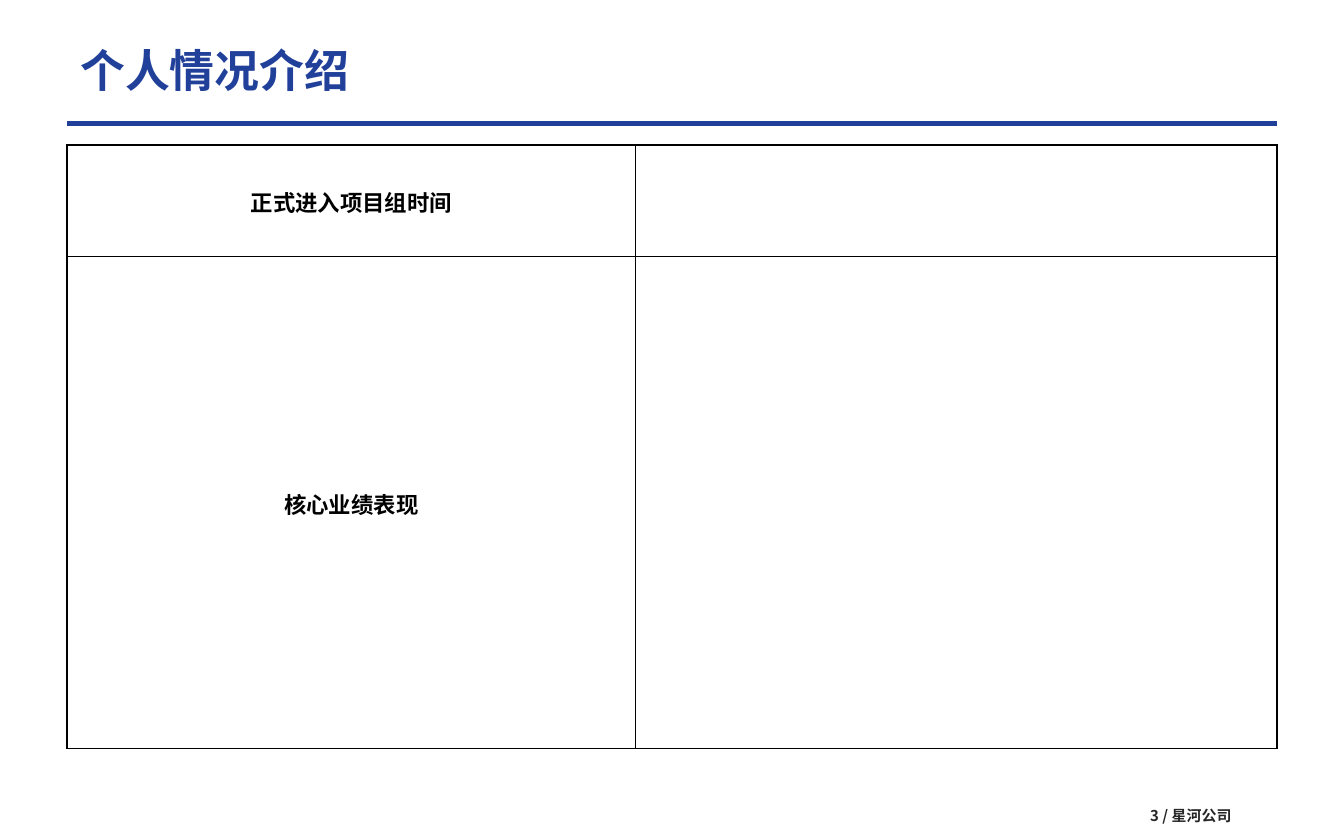
from lxml.etree import SubElement
from pptx import Presentation
from pptx.dml.color import RGBColor
from pptx.enum.shapes import MSO_CONNECTOR
from pptx.enum.text import MSO_ANCHOR, PP_ALIGN
from pptx.oxml import parse_xml
from pptx.oxml.ns import nsdecls, qn
from pptx.util import Pt

PX = 9144  # EMU per px, 100 px to the inch
BLUE, BLACK, GREY = "20409A", "000000", "262626"
CJK_FONT = "Noto Sans CJK SC"
LEFT, WIDTH = 50, 900
COLUMNS, ROWS = (423, 477), (83, 366)
LABELS = ("正式进入项目组时间", "核心业绩表现")


def px(*lengths):
    return [length * PX for length in lengths]


def color(hex_code):
    return RGBColor.from_string(hex_code)


def write(frame, text, size, fill, font=CJK_FONT, align=PP_ALIGN.LEFT):
    para = frame.paragraphs[0]
    para.alignment = align
    span = para.add_run()
    span.text = text
    span.font.size = Pt(size)
    span.font.bold = True
    span.font.name = font
    span.font.color.rgb = color(fill)
    SubElement(span.font._element, qn("a:ea"), typeface=CJK_FONT)


def add_text(page, place, text, **style):
    frame = page.shapes.add_textbox(*px(*place)).text_frame
    frame.word_wrap = True
    frame.vertical_anchor = MSO_ANCHOR.MIDDLE
    write(frame, text, **style)


def add_rule(page, y):
    line = page.shapes.add_connector(
        MSO_CONNECTOR.STRAIGHT, *px(LEFT, y, LEFT + WIDTH, y))
    line.line.color.rgb = color(BLUE)
    line.line.width = Pt(3)
    SubElement(line._element.spPr, qn("a:effectLst"))


def add_borders(cell):
    properties = cell._tc.get_or_add_tcPr()
    for index, side in enumerate(("lnL", "lnR", "lnT", "lnB")):
        properties.insert(index, parse_xml(
            f'<a:{side} {nsdecls("a")} w="{Pt(1)}"><a:solidFill>'
            f'<a:srgbClr val="{BLACK}"/></a:solidFill></a:{side}>'))


def add_profile_table(page, top):
    table = page.shapes.add_table(
        len(ROWS), len(COLUMNS), *px(LEFT, top, WIDTH, sum(ROWS))).table
    table.first_row = table.horz_banding = False
    for column, width in zip(table.columns, COLUMNS):
        column.width = width * PX
    for row, height in zip(table.rows, ROWS):
        row.height = height * PX
    for cell in table.iter_cells():
        cell.fill.background()
        add_borders(cell)
    for row, label in enumerate(LABELS):
        cell = table.cell(row, 0)
        cell.vertical_anchor = MSO_ANCHOR.MIDDLE
        cell.margin_left = cell.margin_right = cell.margin_top = PX
        cell.margin_bottom = 0
        write(cell.text_frame, label, 12, BLACK, align=PP_ALIGN.CENTER)


def main():
    deck = Presentation()
    deck.slide_width, deck.slide_height = px(1000, 625)
    page = deck.slides.add_slide(deck.slide_layouts[6])
    add_text(page, (846, 589, 154, 36), "3 / 星河公司", size=8, fill=GREY)
    add_rule(page, 92)
    add_text(page, (LEFT, 25, WIDTH, 53), "个人情况介绍",
             size=24, fill=BLUE, font="Arial")
    add_profile_table(page, 108)
    deck.save("out.pptx")


if __name__ == "__main__":
    main()
